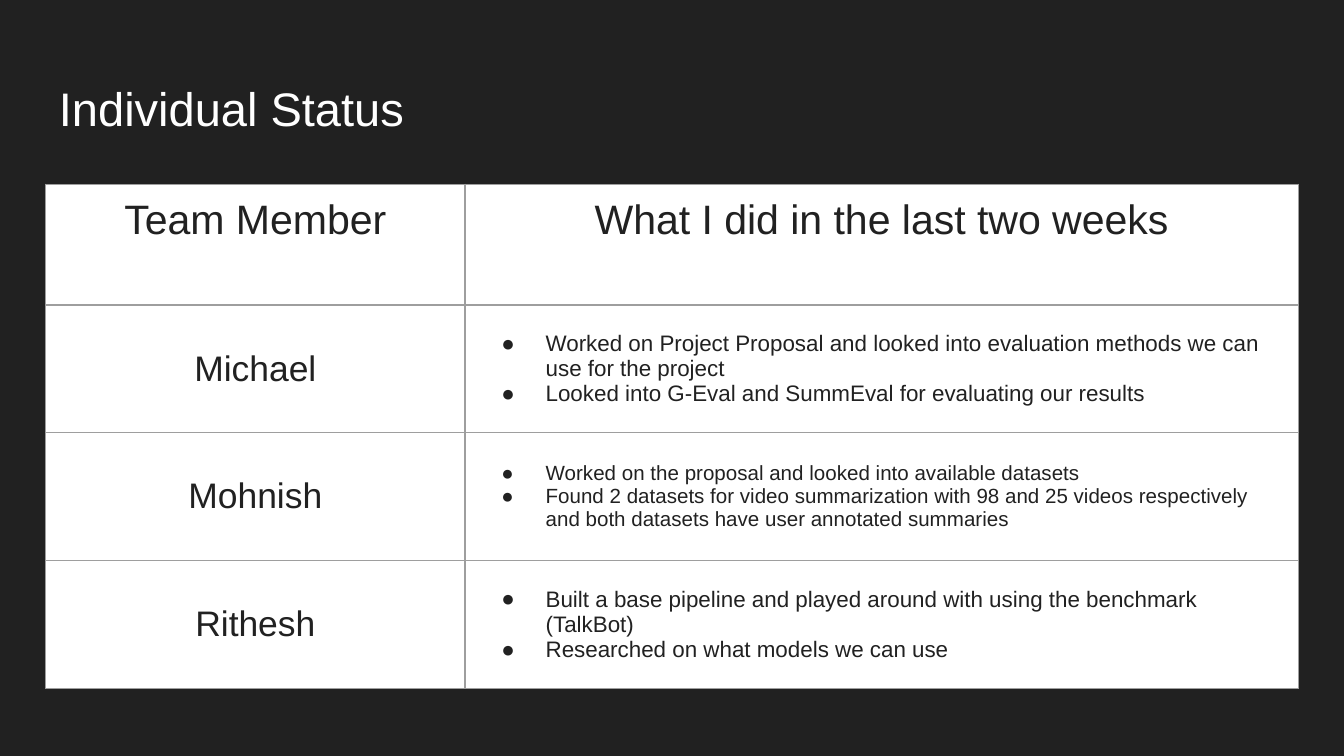
from dataclasses import dataclass

from lxml.etree import SubElement
from pptx import Presentation
from pptx.dml.color import RGBColor
from pptx.enum.text import MSO_ANCHOR, PP_ALIGN
from pptx.oxml.ns import qn
from pptx.util import Inches, Pt


@dataclass(frozen=True)
class Theme:
    font: str = "Arial"
    dark: str = "212121"
    light: str = "FFFFFF"
    border: str = "9E9E9E"
    title: float = 25.2
    header: float = 22
    member: float = 19


class StatusSlide:
    """Holds the theme and the current slide, and adds elements to it."""

    def __init__(self, prs, theme):
        self.theme = theme
        self.s = prs.slides.add_slide(prs.slide_layouts[6])
        self.fill(self.s.background.fill, theme.dark)

    def fill(self, fill, color):
        fill.solid()
        fill.fore_color.rgb = RGBColor.from_string(color)

    def style(self, p, size, color):
        p.font.name = self.theme.font
        p.font.size = Pt(size)
        p.font.color.rgb = RGBColor.from_string(color)

    def title(self, text, left, top, width, height):
        sp = self.s.shapes.add_textbox(Inches(left), Inches(top), Inches(width), Inches(height))
        tf = sp.text_frame
        tf.word_wrap = True
        tf.margin_left = tf.margin_right = tf.margin_top = tf.margin_bottom = Inches(0.1)
        p = tf.paragraphs[0]
        p.text = text
        self.style(p, self.theme.title, self.theme.light)

    def table(self, left, top, widths, heights):
        frame = self.s.shapes.add_table(
            len(heights), len(widths), Inches(left), Inches(top),
            Inches(sum(widths)), Inches(sum(heights)))
        table = frame.table
        table.first_row = table.horz_banding = False
        for column, width in zip(table.columns, widths):
            column.width = Inches(width)
        for row, height in zip(table.rows, heights):
            row.height = Inches(height)
        return table

    def cell(self, cell, lines, size, anchor=MSO_ANCHOR.MIDDLE, bullets=False):
        cell.margin_left = cell.margin_right = Inches(0.1)
        cell.margin_top = cell.margin_bottom = Inches(0.1)
        cell.vertical_anchor = anchor
        self.borders(cell)
        self.fill(cell.fill, self.theme.light)
        tf = cell.text_frame
        tf.text = "\n".join(lines)
        for p in tf.paragraphs:
            if bullets:
                self.bullet(p, size)
            else:
                p.alignment = PP_ALIGN.CENTER
            self.style(p, size, self.theme.dark)

    def borders(self, cell):
        tc_pr = cell._tc.get_or_add_tcPr()
        for side in ("lnL", "lnR", "lnT", "lnB"):
            ln = SubElement(tc_pr, qn(f"a:{side}"), w=str(Pt(0.75)))
            solid = SubElement(ln, qn("a:solidFill"))
            SubElement(solid, qn("a:srgbClr"), val=self.theme.border)

    def bullet(self, p, size):
        p_pr = p._p.get_or_add_pPr()
        p_pr.set("marL", str(Inches(0.5)))
        p_pr.set("indent", str(Inches(-0.33)))
        color = SubElement(p_pr, qn("a:buClr"))
        SubElement(color, qn("a:srgbClr"), val=self.theme.dark)
        SubElement(p_pr, qn("a:buSzPts"), val=str(size * 100))
        SubElement(p_pr, qn("a:buFont"), typeface=self.theme.font)
        SubElement(p_pr, qn("a:buChar"), char="●")


HEADERS = ("Team Member", "What I did in the last two weeks")
MEMBERS = (
    ("Michael", 12, (
        "Worked on Project Proposal and looked into evaluation methods we can use for the project",
        "Looked into G-Eval and SummEval for evaluating our results")),
    ("Mohnish", 11, (
        "Worked on the proposal and looked into available datasets",
        "Found 2 datasets for video summarization with 98 and 25 videos respectively "
        "and both datasets have user annotated summaries")),
    ("Rithesh", 12, (
        "Built a base pipeline and played around with using the benchmark (TalkBot)",
        "Researched on what models we can use")),
)


def main():
    prs = Presentation()
    prs.slide_width = Inches(10)
    prs.slide_height = prs.slide_width * 9 // 16
    theme = Theme()
    slide = StatusSlide(prs, theme)
    slide.title("Individual Status", 0.34, 0.49, 9.32, 0.63)
    table = slide.table(0.34, 1.37, (3.12, 6.2), (0.9,) + (0.95,) * len(MEMBERS))
    for col, header in enumerate(HEADERS):
        slide.cell(table.cell(0, col), [header], theme.header, MSO_ANCHOR.TOP)
    for row, (name, size, tasks) in enumerate(MEMBERS, 1):
        slide.cell(table.cell(row, 0), [name], theme.member)
        slide.cell(table.cell(row, 1), tasks, size, bullets=True)
    prs.save("out.pptx")


if __name__ == "__main__":
    main()
